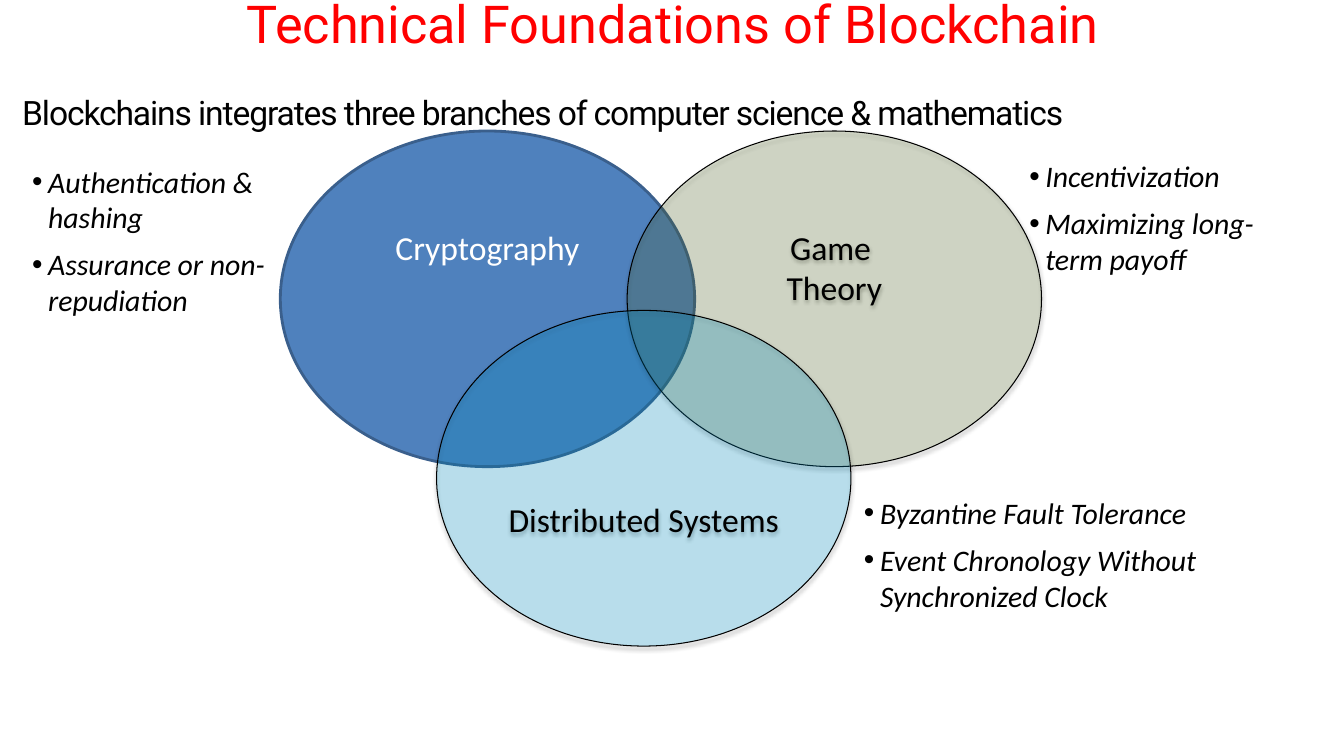
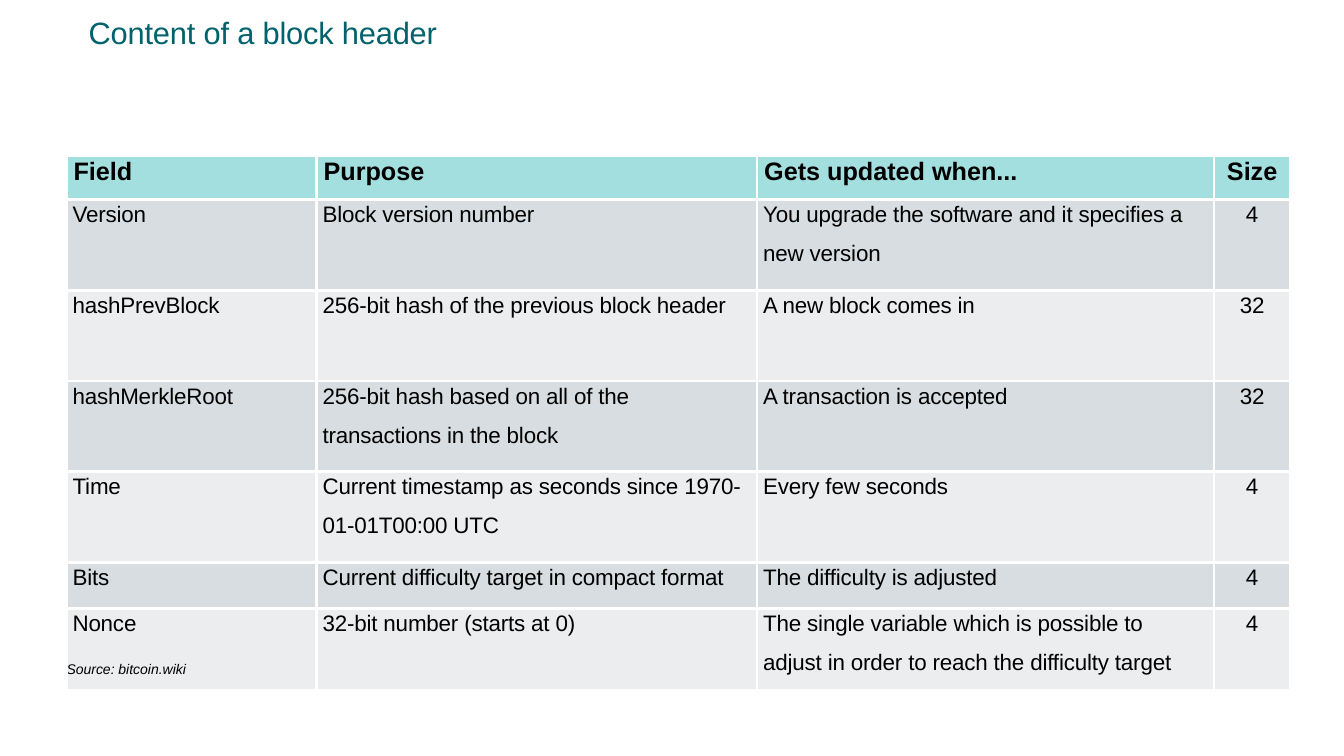
"""Two slides on blockchain: a Venn diagram of its foundations and a block header table."""
from lxml.etree import SubElement
from pptx import Presentation
from pptx.dml.color import RGBColor
from pptx.enum.shapes import MSO_SHAPE
from pptx.enum.text import MSO_ANCHOR, PP_ALIGN
from pptx.oxml.ns import qn
from pptx.util import Inches, Pt

COLORS = {
    "black": "000000", "white": "FFFFFF", "red": "FF0000", "teal": "00626C",
    "blue": "4F81BD", "blue_edge": "3A5F8C", "olive": "677F34", "cyan": "00B0F0",
    "header": "A3DFDF", "odd_row": "D7DDE0", "even_row": "EBEDEF",
}


def write(frame, lines, size, font, color="black", align=PP_ALIGN.LEFT, bold=False,
          italic=False, spacing=0, indent=0, before=0, after=0, bullet=False):
    frame.word_wrap = True
    for index, line in enumerate(lines):
        paragraph = frame.paragraphs[0] if index == 0 else frame.add_paragraph()
        paragraph.alignment = align
        paragraph.space_before = Pt(before if index else 0)
        paragraph.space_after = Pt(after)
        properties = paragraph._p.get_or_add_pPr()
        properties.set("marL", str(Inches(indent)))
        if bullet:
            properties.set("indent", str(-Inches(indent)))
            SubElement(properties, qn("a:buFont"), typeface="Arial")
            SubElement(properties, qn("a:buChar"), char="•")
        run = paragraph.add_run()
        run.text = line
        run.font.size = Pt(size)
        run.font.name = font
        run.font.bold = bold
        run.font.italic = italic
        run.font.color.rgb = RGBColor.from_string(COLORS[color])
        if spacing:
            run._r.get_or_add_rPr().set("spc", str(round(spacing * 100)))


def add_box(slide, left, top, width, height, inset_x=0.1, inset_y=0.05):
    frame = slide.shapes.add_textbox(
        Inches(left), Inches(top), Inches(width), Inches(height)).text_frame
    frame.margin_left = frame.margin_right = Inches(inset_x)
    frame.margin_top = frame.margin_bottom = Inches(inset_y)
    return frame


presentation = Presentation()
presentation.slide_width = Inches(13.33)
presentation.slide_height = Inches(7.5)
blank = presentation.slide_layouts[6]

slide = presentation.slides.add_slide(blank)
title = add_box(slide, 0.01, -0.04, 13.33, 0.52)
title.vertical_anchor = MSO_ANCHOR.MIDDLE
write(title, ["Technical Foundations of Blockchain"], 37.3, "Roboto", "red", PP_ALIGN.CENTER)

circles = [
    (2.78, 1.3, "blue", "blue_edge", 2, ["Cryptography"], "white", MSO_ANCHOR.TOP, 0.46),
    (6.22, 1.3, "olive", "black", 0.75, ["Game ", "Theory"], "black", MSO_ANCHOR.TOP, 0.46),
    (4.33, 3.08, "cyan", "black", 0.75, ["Distributed Systems"], "black",
     MSO_ANCHOR.MIDDLE, 0.86),
]
for left, top, fill, edge, edge_width, label, text_color, anchor, inset in circles:
    shape = slide.shapes.add_shape(
        MSO_SHAPE.OVAL, Inches(left), Inches(top), Inches(4.11), Inches(3.33))
    shape.shadow.inherit = False
    shape.fill.solid()
    shape.fill.fore_color.rgb = RGBColor.from_string(COLORS[fill])
    shape.line.color.rgb = RGBColor.from_string(COLORS[edge])
    shape.line.width = Pt(edge_width)
    if fill != "blue":
        shape_properties = shape._element.spPr
        fill_color = shape_properties.find(qn("a:solidFill")).find(qn("a:srgbClr"))
        SubElement(fill_color, qn("a:alpha"), val="21000")
        shadow = SubElement(
            shape_properties.find(qn("a:effectLst")), qn("a:outerShdw"),
            blurRad=str(Pt(3.1)), dist=str(Pt(1.6)), dir="5400000", rotWithShape="0")
        shadow_color = SubElement(shadow, qn("a:srgbClr"), val=COLORS["black"])
        SubElement(shadow_color, qn("a:alpha"), val="38000")
    shape.text_frame.vertical_anchor = anchor
    shape.text_frame.margin_top = Inches(inset)
    write(shape.text_frame, label, 24, "Calibri", text_color, PP_ALIGN.CENTER)

write(add_box(slide, 0.22, 0.86, 13.1, 0.5, inset_x=0),
      ["Blockchains integrates three branches of computer science & mathematics"],
      24, "Roboto", spacing=-0.8)

bullet_lists = [
    (10.11, 1.52, 2.68, 1.29, ["Incentivization", "Maximizing long-term payoff"]),
    (8.47, 4.86, 4.02, 1.29, ["Byzantine Fault Tolerance",
                              "Event Chronology Without Synchronized Clock"]),
    (0.22, 1.57, 2.56, 1.65, ["Authentication & hashing", "Assurance or non-repudiation"]),
]
for left, top, width, height, items in bullet_lists:
    write(add_box(slide, left, top, width, height), items, 21.3, "Calibri",
          italic=True, indent=0.16, after=8, bullet=True)

slide = presentation.slides.add_slide(blank)
write(add_box(slide, 0.87, 0.14, 11.6, 0.37, 0, 0), ["Content of a block header"],
      22, "Arial", "teal", spacing=-0.1, indent=0.01)

rows = [
    (0.44, ["Field"], ["Purpose"], ["Gets updated when..."], ["Size"]),
    (0.9, ["Version"], ["Block version number"],
     ["You upgrade the software and it specifies a", "new version"], ["4"]),
    (0.9, ["hashPrevBlock"], ["256-bit hash of the previous block header"],
     ["A new block comes in"], ["32"]),
    (0.9, ["hashMerkleRoot"], ["256-bit hash based on all of the", "transactions in the block"],
     ["A transaction is accepted"], ["32"]),
    (0.9, ["Time"], ["Current timestamp as seconds since 1970-", "01-01T00:00 UTC"],
     ["Every few seconds"], ["4"]),
    (0.46, ["Bits"], ["Current difficulty target in compact format"],
     ["The difficulty is adjusted"], ["4"]),
    (0.81, ["Nonce"], ["32-bit number (starts at 0)"],
     ["The single variable which is possible to",
      "adjust in order to reach the difficulty target"], ["4"]),
]
column_widths = [2.48, 4.37, 4.53, 0.76]
table = slide.shapes.add_table(
    len(rows), len(column_widths), Inches(0.66), Inches(1.54),
    Inches(sum(column_widths)), Inches(sum(row[0] for row in rows))).table
table.first_row = False
table.horz_banding = False
for column, width in zip(table.columns, column_widths):
    column.width = Inches(width)

for row_index, (height, *texts) in enumerate(rows):
    table.rows[row_index].height = Inches(height)
    is_header = row_index == 0
    fill = "header" if is_header else "odd_row" if row_index % 2 else "even_row"
    for column_index, lines in enumerate(texts):
        cell = table.cell(row_index, column_index)
        cell.margin_left = cell.margin_right = cell.margin_bottom = 0
        cell.margin_top = Inches(0.02 if is_header else 0.03)
        cell_properties = cell._tc.get_or_add_tcPr()
        for side in ("lnL", "lnR", "lnT", "lnB"):
            border = SubElement(cell_properties, qn(f"a:{side}"), w=str(Pt(2.16)))
            border_fill = SubElement(border, qn("a:solidFill"))
            SubElement(border_fill, qn("a:srgbClr"), val=COLORS["white"])
        cell.fill.solid()
        cell.fill.fore_color.rgb = RGBColor.from_string(COLORS[fill])
        is_size = column_index == 3
        write(cell.text_frame, lines, 18 if is_header else 16, "Arial",
              align=PP_ALIGN.CENTER if is_size else PP_ALIGN.LEFT, bold=is_header,
              spacing=0 if is_header or is_size else -0.1,
              indent=0 if is_size else 0.07 if is_header else 0.06, before=10)

source = table.cell(len(rows) - 1, 0).text_frame.add_paragraph()
source.space_before = Pt(18)
source_run = source.add_run()
source_run.text = "Source: bitcoin.wiki"
source_run.font.size = Pt(10)
source_run.font.name = "Arial"
source_run.font.italic = True
source_run.font.color.rgb = RGBColor.from_string(COLORS["black"])

presentation.save("out.pptx")
